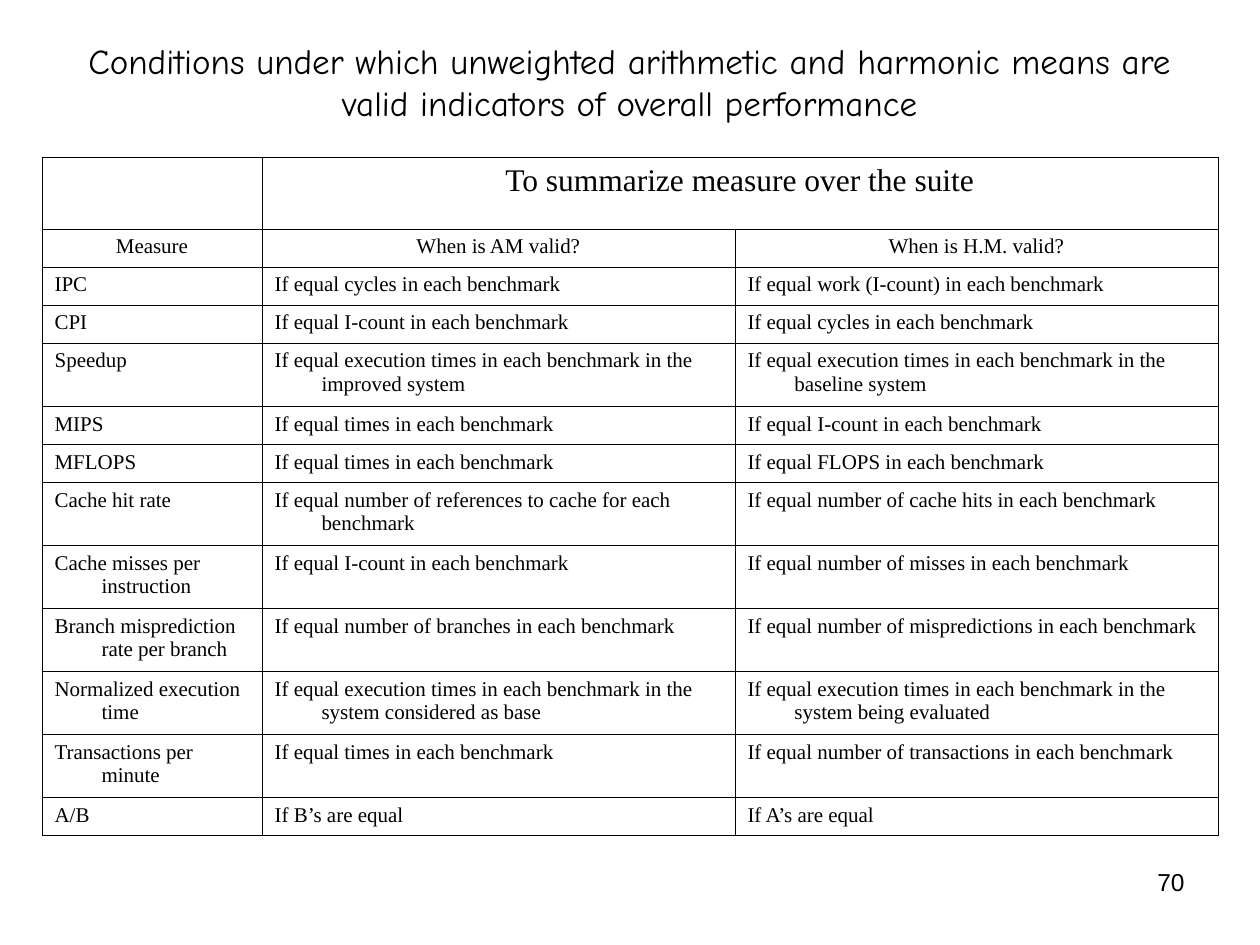
from lxml import etree
from pptx import Presentation
from pptx import util as u
from pptx.dml.color import RGBColor
from pptx.enum import text
from pptx.oxml.ns import qn

TITLE = ("Conditions under which unweighted arithmetic and harmonic means are "
         "valid indicators of overall performance")
PAGE_NUMBER = "70"
SUITE_HEADING = "To summarize measure over the suite"
COLUMN_HEADINGS = ("Measure", "When is AM valid?", "When is H.M. valid?")
MEASURES = [
    ("IPC", "If equal cycles in each benchmark",
     "If equal work (I-count) in each benchmark"),
    ("CPI", "If equal I-count in each benchmark",
     "If equal cycles in each benchmark"),
    ("Speedup", "If equal execution times in each benchmark in the improved system",
     "If equal execution times in each benchmark in the baseline system"),
    ("MIPS", "If equal times in each benchmark",
     "If equal I-count in each benchmark"),
    ("MFLOPS", "If equal times in each benchmark",
     "If equal FLOPS in each benchmark"),
    ("Cache hit rate", "If equal number of references to cache for each benchmark",
     "If equal number of cache hits in each benchmark"),
    ("Cache misses per instruction", "If equal I-count in each benchmark",
     "If equal number of misses in each benchmark"),
    ("Branch misprediction rate per branch",
     "If equal number of branches in each benchmark",
     "If equal number of mispredictions in each benchmark"),
    ("Normalized execution time",
     "If equal execution times in each benchmark in the system considered as base",
     "If equal execution times in each benchmark in the system being evaluated"),
    ("Transactions per minute", "If equal times in each benchmark",
     "If equal number of transactions in each benchmark"),
    ("A/B", "If B’s are equal", "If A’s are equal"),
]

COLORS = {"ink": "000000"}
PX = u.Inches(1) // 126
COLUMN_WIDTHS = (220, 473, 483)
HEADING_HEIGHT, ONE_LINE, TWO_LINES = 72, 38, 63
TWO_LINE_ROWS = {"Speedup", "Cache hit rate", "Cache misses per instruction",
                 "Branch misprediction rate per branch",
                 "Normalized execution time", "Transactions per minute"}
HANGING_INDENT = 47
BORDER_WIDTH = u.Pt(0.45)


def set_text(frame, words, font, size, alignment):
    frame.word_wrap = True
    frame.text = words
    paragraph = frame.paragraphs[0]
    paragraph.alignment = alignment
    for run in paragraph.runs:
        run.font.name = font
        run.font.size = u.Pt(size)
        run.font.color.rgb = RGBColor.from_string(COLORS["ink"])
    return paragraph


def add_label(slide, box, words, font, size, alignment, anchor):
    label = slide.shapes.add_textbox(*(side * PX for side in box))
    label.text_frame.vertical_anchor = anchor
    set_text(label.text_frame, words, font, size, alignment)


def style_cell(cell):
    """Draw the four borders and leave the cell unfilled."""
    properties = cell._tc.get_or_add_tcPr()
    for side in ("lnL", "lnR", "lnT", "lnB"):
        line = etree.SubElement(properties, qn(f"a:{side}"), w=str(BORDER_WIDTH))
        fill = etree.SubElement(line, qn("a:solidFill"))
        etree.SubElement(fill, qn("a:srgbClr"), val=COLORS["ink"])
    cell.fill.background()


def fill_cell(cell, words, size, alignment):
    paragraph = set_text(cell.text_frame, words, "Times New Roman", size, alignment)
    properties = paragraph._p.get_or_add_pPr()
    properties.set("marL", str(HANGING_INDENT * PX))
    properties.set("indent", str(-HANGING_INDENT * PX))


def add_measure_table(slide):
    rows = [COLUMN_HEADINGS] + MEASURES
    heights = [HEADING_HEIGHT] + [
        TWO_LINES if row[0] in TWO_LINE_ROWS else ONE_LINE for row in rows]
    frame = slide.shapes.add_table(
        len(heights), len(COLUMN_WIDTHS), 42 * PX, 157 * PX,
        sum(COLUMN_WIDTHS) * PX, sum(heights) * PX)
    table = frame.table
    table.first_row = table.horz_banding = False
    for column, width in zip(table.columns, COLUMN_WIDTHS):
        column.width = width * PX
    for row, height in zip(table.rows, heights):
        row.height = height * PX
    for cell in table.iter_cells():
        style_cell(cell)

    table.cell(0, 1).merge(table.cell(0, 2))
    fill_cell(table.cell(0, 1), SUITE_HEADING, 18, text.PP_ALIGN.CENTER)
    for row_index, row in enumerate(rows, start=1):
        alignment = text.PP_ALIGN.CENTER if row is COLUMN_HEADINGS else text.PP_ALIGN.LEFT
        for column_index, words in enumerate(row):
            fill_cell(table.cell(row_index, column_index), words, 12, alignment)


def main():
    presentation = Presentation()
    presentation.slide_width = 1260 * PX
    presentation.slide_height = 945 * PX
    slide = presentation.slides.add_slide(presentation.slide_layouts[6])
    add_label(slide, (903, 861, 294, 66), PAGE_NUMBER, "Arial", 14,
              text.PP_ALIGN.RIGHT, text.MSO_ANCHOR.TOP)
    add_label(slide, (63, 38, 1134, 88), TITLE, "Comic Neue", 20,
              text.PP_ALIGN.CENTER, text.MSO_ANCHOR.MIDDLE)
    add_measure_table(slide)
    presentation.save("out.pptx")


if __name__ == "__main__":
    main()
